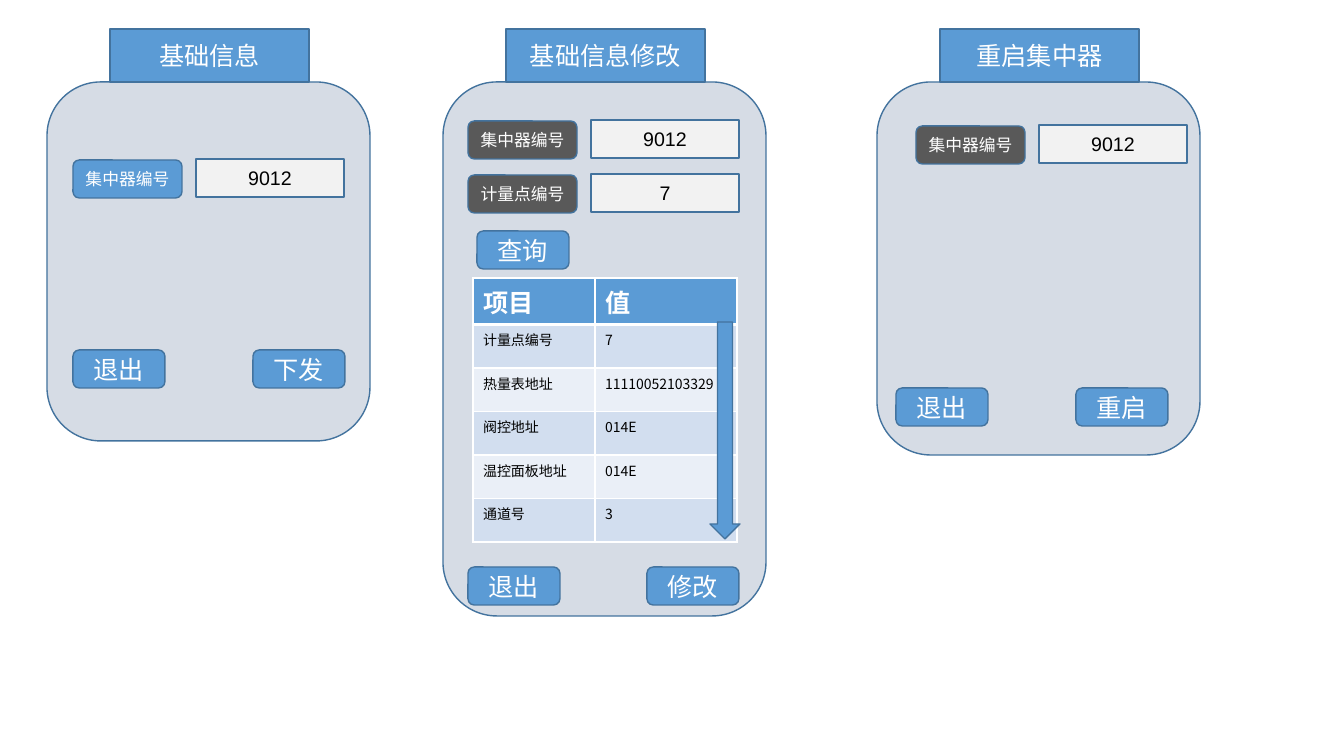
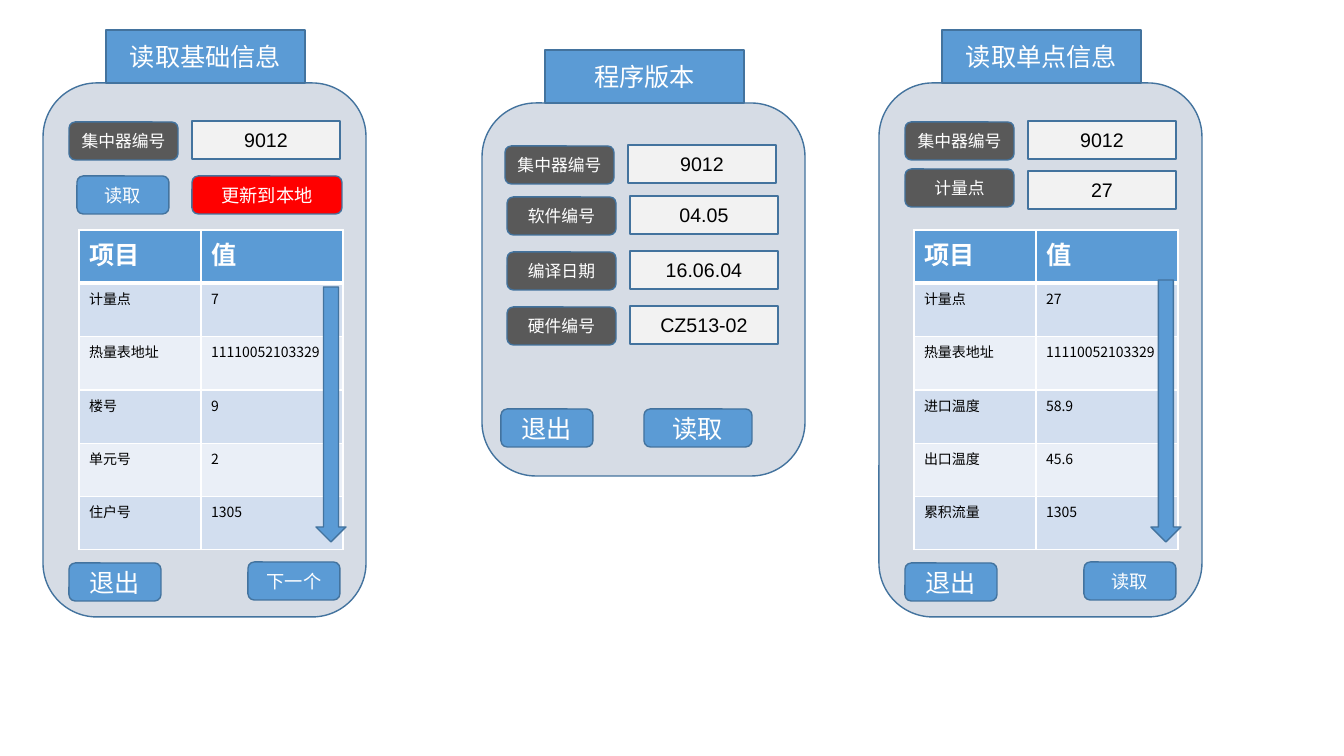
from dataclasses import dataclass

from lxml import etree
from pptx import Presentation
from pptx.dml.color import RGBColor
from pptx.enum.shapes import MSO_SHAPE
from pptx.enum.text import MSO_ANCHOR, PP_ALIGN
from pptx.oxml.ns import qn
from pptx.util import Pt

RECT = MSO_SHAPE.RECTANGLE
ROUND = MSO_SHAPE.ROUNDED_RECTANGLE
DOWN_ARROW = MSO_SHAPE.DOWN_ARROW
CENTER = PP_ALIGN.CENTER
MIDDLE = MSO_ANCHOR.MIDDLE
EMU_PER_PX = 914400 / 100.8


@dataclass(frozen=True)
class Theme:
    blue: str = "5B9BD5"
    outline: str = "43739E"
    panel: str = "D6DCE5"
    dark: str = "595959"
    field: str = "F2F2F2"
    red: str = "FF0000"
    white: str = "FFFFFF"
    black: str = "000000"
    bands: tuple = ("D2DEEF", "EAEFF7")
    cjk: str = "Noto Sans CJK SC"
    latin: str = "Arial"
    large: int = 18
    value: int = 14
    medium: int = 13
    label: int = 12
    cell: int = 10


T = Theme()
PANEL_W = 323
TAB_W, TAB_H = 199, 53
BUTTON_W, CONTROL_H = 92, 38
LABEL_W, VALUE_W, VALUE_DX = 109, 148, 123
COLUMN_WIDTHS = (122, 142)
ARROW_DX, ARROW_W = 237, 30


def px(n):
    return round(n * EMU_PER_PX)


def rgb(color):
    return RGBColor.from_string(color)


def style_text(p, text, size, color, font=T.cjk, bold=False):
    p.text = text
    p.font.size = Pt(size)
    p.font.bold = bold
    p.font.color.rgb = rgb(color)
    p.font.name = font
    props = p._p.pPr.find(qn("a:defRPr"))
    etree.SubElement(props, qn("a:ea"), typeface=font)


def add_box(slide, kind, x, y, w, h, fill):
    sp = slide.shapes.add_shape(kind, px(x), px(y), px(w), px(h))
    sp.shadow.inherit = False
    sp.fill.solid()
    sp.fill.fore_color.rgb = rgb(fill)
    sp.line.color.rgb = rgb(T.outline)
    sp.line.width = Pt(1)
    return sp


def add_text_box(slide, kind, x, y, w, h, fill, text, size,
                 color=T.white, font=T.cjk):
    sp = add_box(slide, kind, x, y, w, h, fill)
    tf = sp.text_frame
    tf.vertical_anchor = MIDDLE
    p = tf.paragraphs[0]
    p.alignment = CENTER
    style_text(p, text, size, color, font)


def add_panel(slide, x, y, h, title):
    add_box(slide, ROUND, x, y, PANEL_W, h, T.panel)
    add_text_box(slide, RECT, x + 63, y - TAB_H, TAB_W, TAB_H, T.blue,
                 title, T.large)


def add_button(slide, x, y, text, size=T.large, w=BUTTON_W, fill=T.blue):
    add_text_box(slide, ROUND, x, y, w, CONTROL_H, fill, text, size)


def add_field(slide, x, y, label, value, value_dy=-1, fill=T.dark):
    add_text_box(slide, ROUND, x, y, LABEL_W, CONTROL_H, fill, label, T.label)
    add_text_box(slide, RECT, x + VALUE_DX, y + value_dy, VALUE_W, CONTROL_H,
                 T.field, value, T.value, T.black, T.latin)


def set_borders(cell, bottom):
    props = cell._tc.get_or_add_tcPr()
    widths = {"a:lnL": 1, "a:lnR": 1, "a:lnT": 1, "a:lnB": bottom}
    for i, (tag, width) in enumerate(widths.items()):
        ln = etree.Element(qn(tag), w=str(Pt(width)))
        fill = etree.SubElement(ln, qn("a:solidFill"))
        etree.SubElement(fill, qn("a:srgbClr"), val=T.white)
        props.insert(i, ln)


def add_item_table(slide, x, y, h, items, arrow_y, arrow_h):
    rows = [("项目", "值"), *items]
    frame = slide.shapes.add_table(len(rows), len(COLUMN_WIDTHS), px(x), px(y),
                                   px(sum(COLUMN_WIDTHS)), px(h))
    table = frame.table
    for column, width in zip(table.columns, COLUMN_WIDTHS):
        column.width = px(width)
    for r, row in enumerate(rows):
        header = r == 0
        table.rows[r].height = px(h / len(rows))
        for c, text in enumerate(row):
            cell = table.cell(r, c)
            cell.fill.solid()
            cell.fill.fore_color.rgb = rgb(T.blue if header else T.bands[(r - 1) % 2])
            style_text(cell.text_frame.paragraphs[0], text,
                       T.large if header else T.cell,
                       T.white if header else T.black, bold=header)
            set_borders(cell, 3 if header else 1)
    add_box(slide, DOWN_ARROW, x + ARROW_DX, arrow_y, ARROW_W, arrow_h, T.blue)


def build_settings(slide):
    add_panel(slide, 47, 82, 359, "基础信息")
    add_field(slide, 73, 160, "集中器编号", "9012", fill=T.blue)
    add_button(slide, 73, 350, "退出")
    add_button(slide, 253, 350, "下发")

    add_panel(slide, 443, 82, 534, "基础信息修改")
    add_field(slide, 468, 121, "集中器编号", "9012")
    add_field(slide, 468, 175, "计量点编号", "7")
    add_button(slide, 477, 231, "查询")
    add_item_table(slide, 473, 278, 261, [
        ("计量点编号", "7"),
        ("热量表地址", "11110052103329"),
        ("阀控地址", "014E"),
        ("温控面板地址", "014E"),
        ("通道号", "3"),
    ], 322, 217)
    add_button(slide, 468, 567, "退出")
    add_button(slide, 647, 567, "修改")

    add_panel(slide, 877, 82, 373, "重启集中器")
    add_field(slide, 916, 126, "集中器编号", "9012")
    add_button(slide, 896, 388, "退出")
    add_button(slide, 1076, 388, "重启")


def build_readings(slide):
    add_panel(slide, 43, 83, 534, "读取基础信息")
    add_field(slide, 69, 122, "集中器编号", "9012")
    add_button(slide, 77, 176, "读取", T.medium)
    add_button(slide, 192, 176, "更新到本地", T.medium, 150, T.red)
    add_item_table(slide, 79, 230, 320, [
        ("计量点", "7"),
        ("热量表地址", "11110052103329"),
        ("楼号", "9"),
        ("单元号", "2"),
        ("住户号", "1305"),
    ], 287, 255)
    add_button(slide, 69, 563, "退出")
    add_button(slide, 248, 562, "下一个", T.medium)

    add_panel(slide, 482, 103, 373, "程序版本")
    add_field(slide, 505, 146, "集中器编号", "9012")
    versions = [("软件编号", "04.05"), ("编译日期", "16.06.04"),
                ("硬件编号", "CZ513-02")]
    for i, (label, value) in enumerate(versions):
        add_field(slide, 507, 197 + i * 55, label, value)
    add_button(slide, 501, 409, "退出")
    add_button(slide, 644, 409, "读取", w=108)

    add_panel(slide, 879, 83, 534, "读取单点信息")
    add_field(slide, 905, 122, "集中器编号", "9012")
    add_field(slide, 905, 169, "计量点", "27", value_dy=2)
    add_item_table(slide, 914, 230, 320, [
        ("计量点", "27"),
        ("热量表地址", "11110052103329"),
        ("进口温度", "58.9"),
        ("出口温度", "45.6"),
        ("累积流量", "1305"),
    ], 280, 262)
    add_button(slide, 905, 563, "退出")
    add_button(slide, 1084, 562, "读取", T.medium)


def main():
    prs = Presentation()
    prs.slide_width, prs.slide_height = px(1344), px(756)
    for build in (build_settings, build_readings):
        build(prs.slides.add_slide(prs.slide_layouts[6]))
    prs.save("out.pptx")


main()
